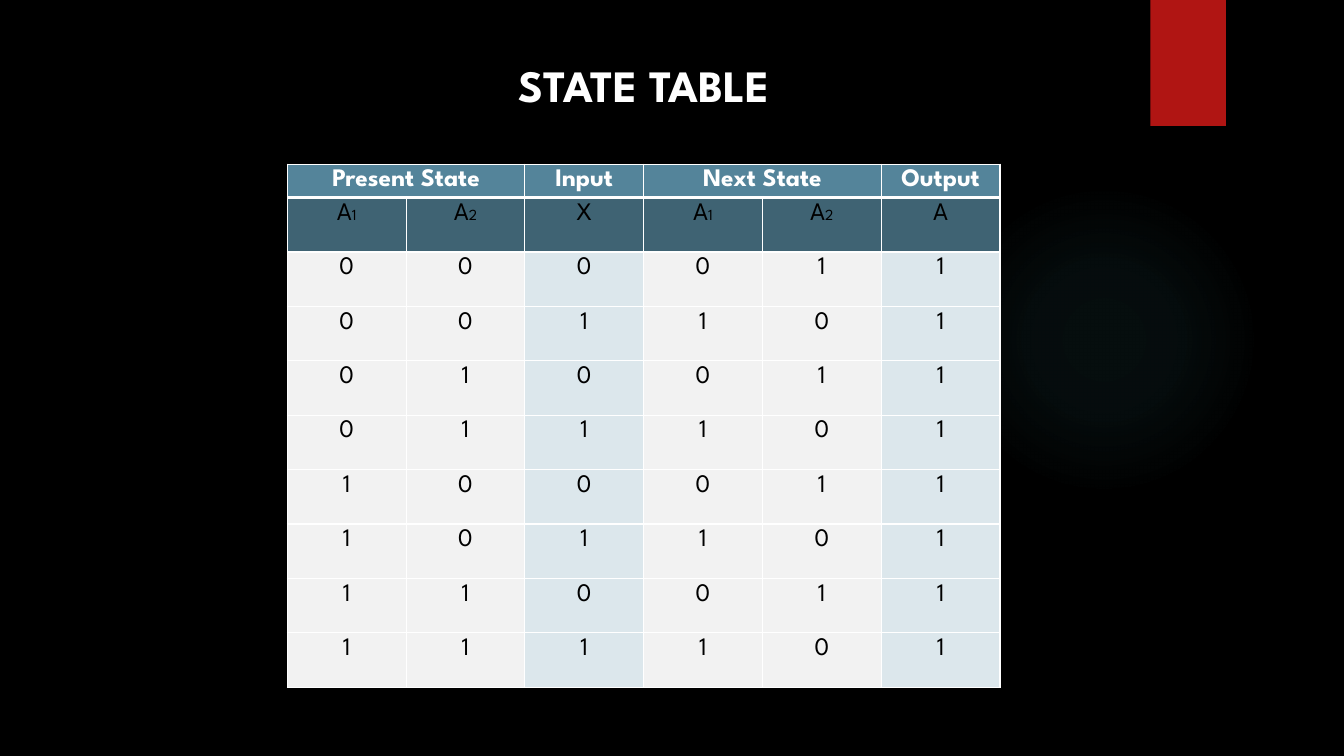
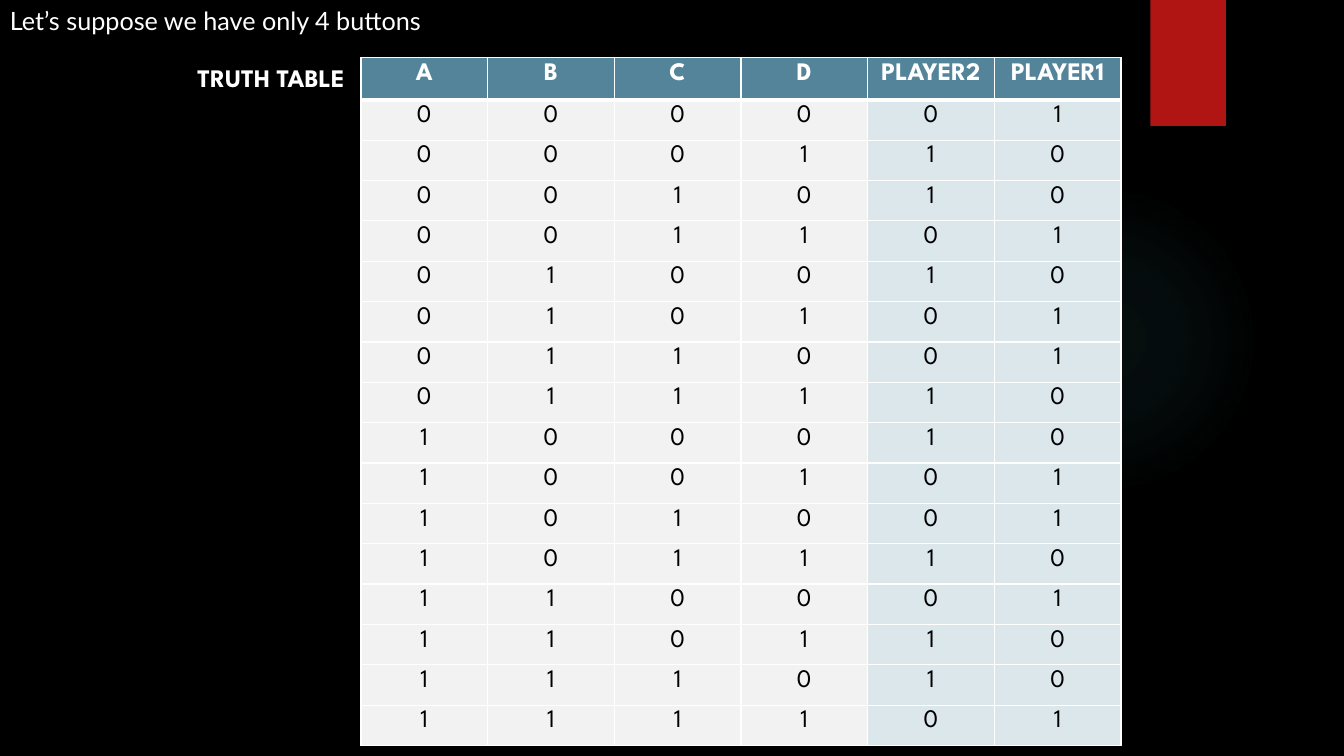
from itertools import product

from lxml import etree
from pptx import Presentation
from pptx.dml.color import RGBColor
from pptx.enum.shapes import MSO_SHAPE
from pptx.enum.text import PP_ALIGN
from pptx.oxml import parse_xml
from pptx.oxml.ns import nsdecls, qn
from pptx.util import Inches, Pt

CENTER, LEFT = PP_ALIGN.CENTER, PP_ALIGN.LEFT
OVAL, RECTANGLE = MSO_SHAPE.OVAL, MSO_SHAPE.RECTANGLE
SLIDE_WIDTH, SLIDE_HEIGHT = 13.33, 7.5
COLORS = {
    "background": "000000",
    "white": "FFFFFF",
    "black": "000000",
    "ribbon": "B01513",
    "glow": "50B9C1",
    "header": "54849A",
    "subheader": "3F6373",
    "body": "F2F2F2",
    "accent": "DCE7EC",
}
HEADING_FONT, TEXT_FONT = "League Spartan", "Lato"
HEADER_FORMAT = {"name": HEADING_FONT, "size": Pt(18), "bold": True}
BODY_FORMAT = {**HEADER_FORMAT, "bold": False}
TITLE_FORMAT = {**HEADER_FORMAT, "size": Pt(32)}
NOTE_FORMAT = {**BODY_FORMAT, "name": TEXT_FONT}
SUBSCRIPT_SIZE = Pt(11)
CELL_MARGIN = Inches(0.05)
GLOW_STOPS = ((0, 7), (36, 6), (69, 0))


def rgb(name):
    return RGBColor.from_string(COLORS[name])


def add_run(paragraph, text, color, font_format):
    run = paragraph.add_run()
    run.text = text
    for attribute, value in font_format.items():
        setattr(run.font, attribute, value)
    run.font.color.rgb = rgb(color)


def add_text(slide, box, text, font_format, alignment=LEFT):
    frame = slide.shapes.add_textbox(*map(Inches, box)).text_frame
    frame.word_wrap = True
    paragraph = frame.paragraphs[0]
    paragraph.alignment = alignment
    add_run(paragraph, text, "white", font_format)


def add_plain_shape(slide, kind, box, color):
    shape = slide.shapes.add_shape(kind, *map(Inches, box))
    shape.shadow.inherit = False
    shape.fill.solid()
    shape.fill.fore_color.rgb = rgb(color)
    shape.line.fill.background()
    return shape


def add_glow(slide, box):
    shape = add_plain_shape(slide, OVAL, box, "glow")
    stops = "".join(
        f'<a:gs pos="{position * 1000}"><a:srgbClr val="{COLORS["glow"]}">'
        f'<a:alpha val="{opacity * 1000}"/></a:srgbClr></a:gs>'
        for position, opacity in GLOW_STOPS
    )
    gradient = parse_xml(
        f'<a:gradFill {nsdecls("a")}><a:gsLst>{stops}</a:gsLst><a:path path="circle">'
        '<a:fillToRect l="50000" t="50000" r="50000" b="50000"/></a:path></a:gradFill>'
    )
    properties = shape.fill._xPr
    properties.replace(properties.find(qn("a:solidFill")), gradient)


def add_themed_slide(presentation):
    slide = presentation.slides.add_slide(presentation.slide_layouts[6])
    add_glow(slide, (9.41, 1.83, 3.08, 3.08))
    add_plain_shape(slide, RECTANGLE, (11.41, 0, 0.75, 1.25), "ribbon")
    return slide


def set_borders(cell, top_width, bottom_width):
    properties = cell._tc.get_or_add_tcPr()
    widths = {"lnL": 1, "lnR": 1, "lnT": top_width, "lnB": bottom_width}
    for index, (tag, width) in enumerate(widths.items()):
        line = etree.Element(qn(f"a:{tag}"), w=str(Pt(width)))
        fill = etree.SubElement(line, qn("a:solidFill"))
        etree.SubElement(fill, qn("a:srgbClr"), val=COLORS["white"])
        properties.insert(index, line)


def fill_cell(cell, text, fill, row_index):
    is_header = row_index == 0
    cell.margin_top = cell.margin_bottom = CELL_MARGIN
    cell.fill.solid()
    cell.fill.fore_color.rgb = rgb(fill)
    set_borders(cell, 3 if row_index == 1 else 1, 3 if is_header else 1)
    paragraph = cell.text_frame.paragraphs[0]
    paragraph.alignment = CENTER
    color = "white" if is_header else "black"
    font_format = HEADER_FORMAT if is_header else BODY_FORMAT
    letter, _, subscript = text.partition("_")
    if letter:
        add_run(paragraph, letter, color, font_format)
    if subscript:
        add_run(paragraph, subscript, color, {**font_format, "size": SUBSCRIPT_SIZE})


def add_logic_table(slide, box, rows, header_height, accent_columns, has_subheader=False):
    height = box[3]
    column_count = len(rows[0])
    frame = slide.shapes.add_table(len(rows), column_count, *map(Inches, box))
    table = frame.table
    for column in table.columns:
        column.width = Inches(box[2] / column_count)
    body_height = (height - header_height) / (len(rows) - 1)
    for row_index, texts in enumerate(rows):
        is_header = row_index == 0
        table.rows[row_index].height = Inches(header_height if is_header else body_height)
        for column_index, text in enumerate(texts):
            if is_header:
                fill = "header"
            elif row_index == 1 and has_subheader:
                fill = "subheader"
            else:
                fill = "accent" if column_index in accent_columns else "body"
            fill_cell(table.cell(row_index, column_index), text, fill, row_index)
    return table


def build_state_slide(presentation):
    slide = add_themed_slide(presentation)
    rows = [
        ("Present State", "", "Input", "Next State", "", "Output"),
        ("A_1", "A_2", "X", "A_1", "A_2", "A"),
    ]
    for first, second, signal in product((0, 1), repeat=3):
        rows.append([str(bit) for bit in (first, second, signal, signal, 1 - signal, 1)])
    table = add_logic_table(slide, (2.85, 1.63, 7.07, 5.19), rows, 0.33, (2, 5), True)
    for column in (0, 3):
        table.cell(0, column).merge(table.cell(0, column + 1))
    add_text(slide, (4.47, 0.52, 3.84, 0.64), "STATE TABLE", TITLE_FORMAT, CENTER)


def build_truth_slide(presentation):
    slide = add_themed_slide(presentation)
    rows = [("A", "B", "C", "D", "PLAYER2", "PLAYER1")]
    for buttons in product((0, 1), repeat=4):
        parity = sum(buttons) % 2
        rows.append([str(bit) for bit in (*buttons, parity, 1 - parity)])
    add_logic_table(slide, (3.58, 0.57, 7.54, 6.68), rows, 0.42, (4, 5))
    add_text(slide, (1.86, 0.57, 1.81, 0.4), "TRUTH TABLE", HEADER_FORMAT)
    add_text(slide, (0, 0, 5.52, 0.4), "Let’s suppose we have only 4 buttons", NOTE_FORMAT)


def main():
    presentation = Presentation()
    presentation.slide_width = Inches(SLIDE_WIDTH)
    presentation.slide_height = Inches(SLIDE_HEIGHT)
    background = presentation.slide_master.background.fill
    background.solid()
    background.fore_color.rgb = rgb("background")
    build_state_slide(presentation)
    build_truth_slide(presentation)
    presentation.save("out.pptx")


if __name__ == "__main__":
    main()
